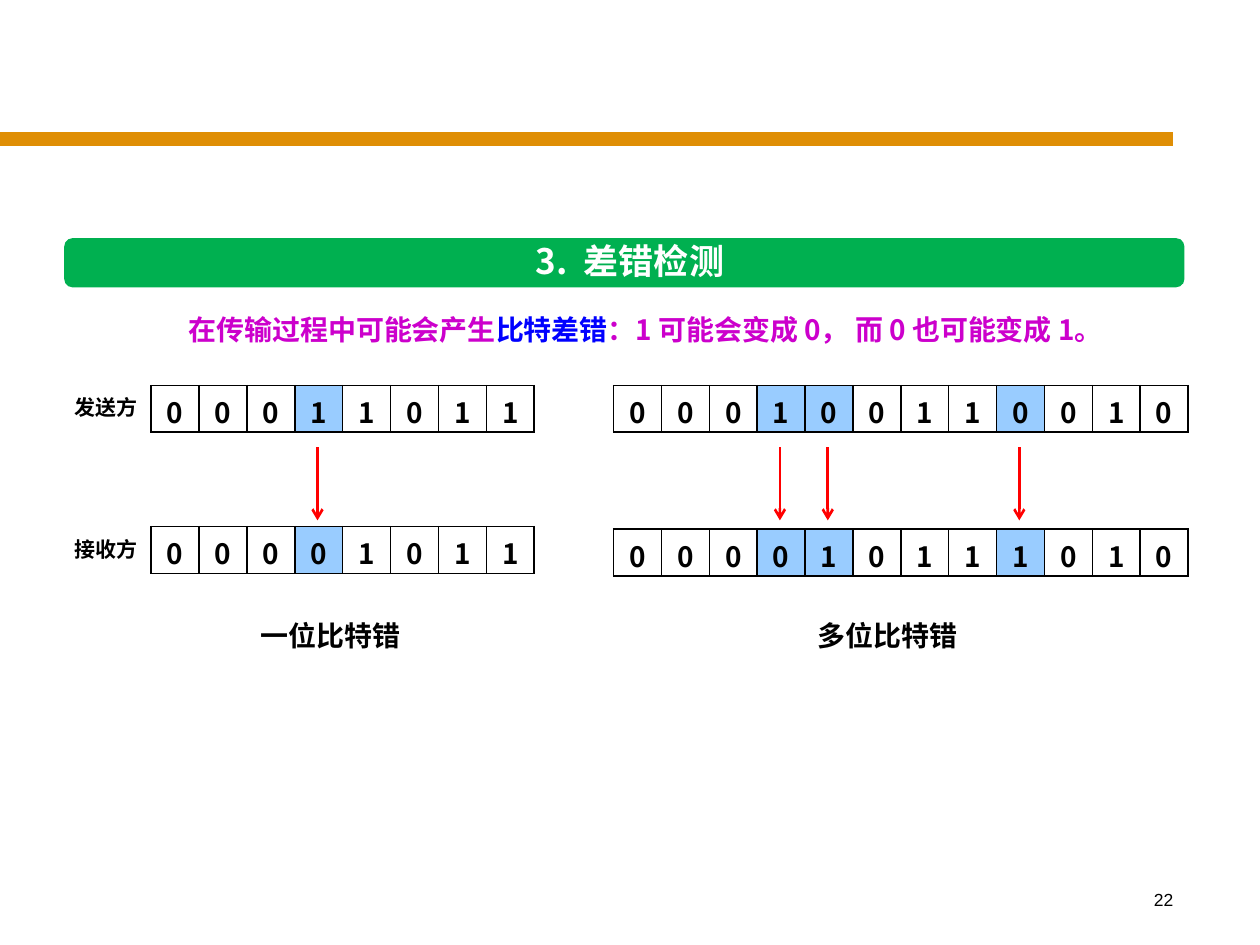
from dataclasses import dataclass

from lxml import etree
from pptx import Presentation
from pptx.dml.color import RGBColor
from pptx.enum.shapes import MSO_CONNECTOR, MSO_SHAPE
from pptx.enum.text import MSO_ANCHOR, PP_ALIGN
from pptx.oxml.ns import qn
from pptx.util import Inches, Pt

STRAIGHT = MSO_CONNECTOR.STRAIGHT
ROUNDED = MSO_SHAPE.ROUNDED_RECTANGLE
MIDDLE = MSO_ANCHOR.MIDDLE
CENTER, RIGHT = PP_ALIGN.CENTER, PP_ALIGN.RIGHT

BLACK = RGBColor(0x00, 0x00, 0x00)
WHITE = RGBColor(0xFF, 0xFF, 0xFF)
ORANGE = RGBColor(0xDF, 0x8E, 0x05)
GREEN = RGBColor(0x00, 0xB0, 0x50)
PURPLE = RGBColor(0xCC, 0x00, 0xCC)
BLUE = RGBColor(0x00, 0x00, 0xFF)
LIGHT_BLUE = RGBColor(0x99, 0xCC, 0xFF)
RED = RGBColor(0xFF, 0x00, 0x00)

CJK = "Noto Sans CJK SC"
CELL_W, CELL_H = 0.38, 0.37
SENT_TOP = 3.06
ARROW_TOP, ARROW_BOTTOM = 3.55, 4.13


@dataclass
class BitError:
    caption: str
    caption_left: float
    left: float
    received_top: float
    sent: str
    received: str


ERRORS = [
    BitError("一位比特错", 1.97, 1.2, 4.18, "00011011", "00001011"),
    BitError("多位比特错", 6.39, 4.87, 4.2, "000100110010", "000010111010"),
]


def add_run(p, text: str, size: float, color: RGBColor,
            font: str = CJK, bold: bool = True) -> None:
    r = p.add_run()
    r.text = text
    r.font.size = Pt(size)
    r.font.bold = bold
    r.font.name = font
    r.font.color.rgb = color
    ea = etree.SubElement(r.font._element, qn("a:ea"))
    ea.set("typeface", font)


def add_text(s, left: float, top: float, width: float, height: float,
             align: PP_ALIGN, wrap: bool = False):
    """Add a text box and return its first paragraph."""
    tf = s.shapes.add_textbox(Inches(left), Inches(top),
                              Inches(width), Inches(height)).text_frame
    tf.word_wrap = wrap
    tf.vertical_anchor = MIDDLE
    tf.margin_top = tf.margin_bottom = Inches(0.02)
    p = tf.paragraphs[0]
    p.alignment = align
    return p


def add_line(s, x1: float, y1: float, x2: float, y2: float,
             color: RGBColor, width: float, arrow: bool = False) -> None:
    line = s.shapes.add_connector(STRAIGHT, Inches(x1), Inches(y1),
                                  Inches(x2), Inches(y2))
    line.line.color.rgb = color
    line.line.width = Pt(width)
    if arrow:
        ln = line.line._get_or_add_ln()
        etree.SubElement(ln, qn("a:tailEnd")).set("type", "arrow")
    etree.SubElement(line._element.spPr, qn("a:effectLst"))


def add_borders(cell) -> None:
    tc_pr = cell._tc.get_or_add_tcPr()
    for i, side in enumerate(("a:lnL", "a:lnR", "a:lnT", "a:lnB")):
        ln = etree.Element(qn(side), w=str(Pt(1)))
        fill = etree.SubElement(ln, qn("a:solidFill"))
        etree.SubElement(fill, qn("a:srgbClr")).set("val", str(BLACK))
        tc_pr.insert(i, ln)


def add_bits(s, left: float, top: float, bits: str, flipped: list[int]) -> None:
    table = s.shapes.add_table(1, len(bits), Inches(left), Inches(top),
                               Inches(CELL_W * len(bits)), Inches(CELL_H)).table
    table.first_row = table.horz_banding = False
    for i, bit in enumerate(bits):
        table.columns[i].width = Inches(CELL_W)
        cell = table.cell(0, i)
        cell.margin_left = cell.margin_right = cell.margin_bottom = 0
        cell.margin_top = Inches(0.04)
        cell.vertical_anchor = MIDDLE
        cell.fill.solid()
        cell.fill.fore_color.rgb = LIGHT_BLUE if i in flipped else WHITE
        add_borders(cell)
        p = cell.text_frame.paragraphs[0]
        p.alignment = CENTER
        add_run(p, bit, 16, BLACK)


def add_bit_error(s, error: BitError) -> None:
    flipped = [i for i, (a, b) in enumerate(zip(error.sent, error.received))
               if a != b]
    add_bits(s, error.left, SENT_TOP, error.sent, flipped)
    add_bits(s, error.left, error.received_top, error.received, flipped)
    for i in flipped:
        x = error.left + (i + 0.5) * CELL_W - 0.01
        add_line(s, x, ARROW_TOP, x, ARROW_BOTTOM, RED, 1.5, arrow=True)
    p = add_text(s, error.caption_left, 4.86, 1.31, 0.37, CENTER)
    add_run(p, error.caption, 16, BLACK)


def add_heading(s) -> None:
    bar = s.shapes.add_shape(ROUNDED, Inches(0.51), Inches(1.89),
                             Inches(8.89), Inches(0.39))
    bar.shadow.inherit = False
    bar.adjustments[0] = 0.167
    bar.fill.solid()
    bar.fill.fore_color.rgb = GREEN
    bar.line.fill.background()

    # Wide enough to hold the heading on one line
    title = s.shapes.title
    title.left, title.top = Inches(3.75), Inches(1.85)
    title.width, title.height = Inches(2.5), Inches(0.44)
    tf = title.text_frame
    tf.word_wrap = True
    tf.vertical_anchor = MIDDLE
    tf.margin_top = tf.margin_bottom = 0
    p = tf.paragraphs[0]
    p.alignment = CENTER
    add_run(p, "3.  差错检测", 20, WHITE)
    # Keep the title in front of its bar
    bar._element.addnext(title._element)


def main() -> None:
    prs = Presentation()
    prs.slide_width, prs.slide_height = Inches(10), Inches(7.5)
    s = prs.slides.add_slide(prs.slide_layouts[5])

    # Rule and page number
    add_line(s, 0, 1.1, 9.31, 1.1, ORANGE, 8)
    p = add_text(s, 7.33, 7, 2.08, 0.28, RIGHT)
    add_run(p, "22", 10, BLACK, font="Arial", bold=False)

    # Heading and statement
    add_heading(s)
    p = add_text(s, 1, 2.43, 8.25, 0.37, CENTER, wrap=True)
    add_run(p, "在传输过程中可能会产生", 16, PURPLE)
    add_run(p, "比特差错", 16, BLUE)
    add_run(p, "：1 可能会变成 0， 而 0 也可能变成 1。", 16, PURPLE)

    # Sent and received bits
    for label, top in (("发送方", 3.08), ("接收方", 4.21)):
        p = add_text(s, 0.49, top, 0.7, 0.3, RIGHT)
        add_run(p, label, 12, BLACK)
    for error in ERRORS:
        add_bit_error(s, error)

    prs.save("out.pptx")


if __name__ == "__main__":
    main()
